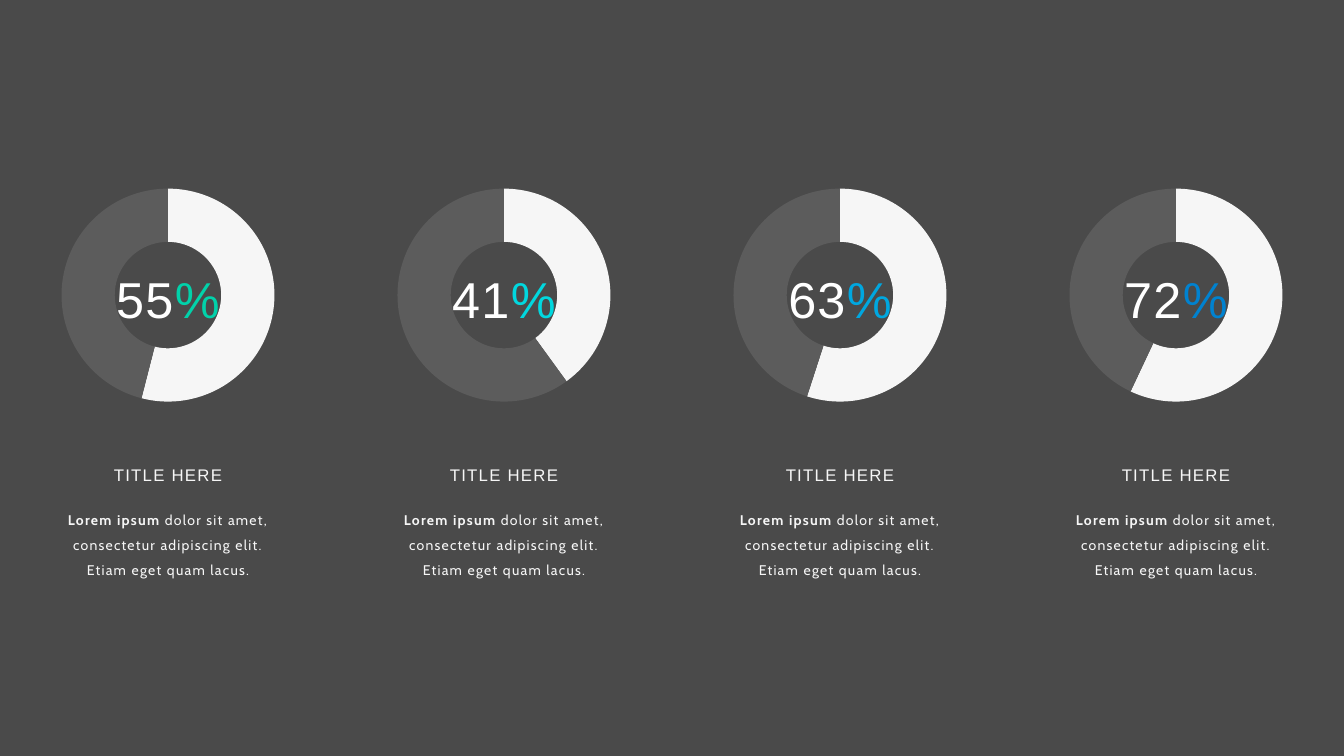
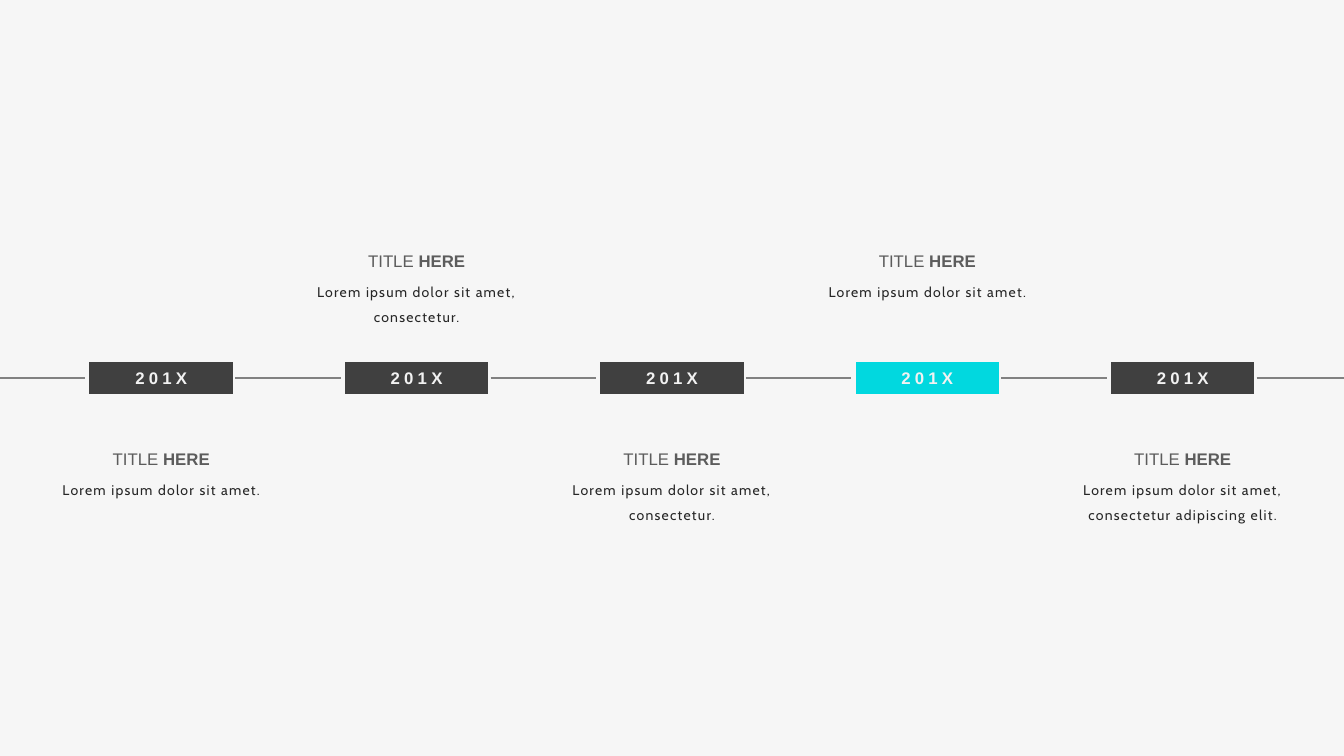
from lxml.etree import SubElement
from pptx import Presentation
from pptx.chart.data import CategoryChartData
from pptx.dml.color import RGBColor
from pptx.enum.chart import XL_CHART_TYPE
from pptx.enum.shapes import MSO_CONNECTOR, MSO_SHAPE
from pptx.enum.text import MSO_ANCHOR, MSO_AUTO_SIZE, PP_ALIGN
from pptx.oxml.ns import qn
from pptx.util import Inches, Pt

WHITE = RGBColor(0xFF, 0xFF, 0xFF)
PALE = RGBColor(0xF6, 0xF6, 0xF6)
TAG_TEXT = RGBColor(0xF2, 0xF2, 0xF2)
RULE = RGBColor(0x81, 0x81, 0x81)
MID = RGBColor(0x5C, 0x5C, 0x5C)
SLATE = RGBColor(0x4A, 0x4A, 0x4A)
DARK = RGBColor(0x40, 0x40, 0x40)
INK = RGBColor(0x26, 0x26, 0x26)
BLACK = RGBColor(0x00, 0x00, 0x00)
GREEN = RGBColor(0x01, 0xD2, 0xAA)
CYAN = RGBColor(0x01, 0xD8, 0xDF)
SKY = RGBColor(0x00, 0xA7, 0xE0)
BLUE = RGBColor(0x00, 0x82, 0xD0)

HEADING_FONT, BODY_FONT, CHART_FONT = "Arial", "Cabin", "Calibri"
COLUMNS, ROWS = 40, 22.5
CELL = Inches(1) / 3


def cells(count):
    """Convert grid cells to a length."""
    return round(count * CELL)


class Builder:
    """Holds the deck, the current page and the shared style."""

    def __init__(self):
        self.deck = Presentation()
        self.deck.slide_width = cells(COLUMNS)
        self.deck.slide_height = cells(ROWS)
        self.page = None

    def new_page(self, background):
        self.page = self.deck.slides.add_slide(self.deck.slide_layouts[6])
        fill = self.page.background.fill
        fill.solid()
        fill.fore_color.rgb = background

    def add_runs(self, frame, runs, font, size, leading=1.0, tracking=0):
        """Fill a frame with one centred paragraph of (text, colour, bold) runs."""
        para = frame.paragraphs[0]
        para.alignment = PP_ALIGN.CENTER
        para.line_spacing = leading
        for text, colour, bold in runs:
            span = para.add_run()
            span.text = text
            span.font.name = font
            span.font.size = Pt(size)
            span.font.bold = bold
            span.font.color.rgb = colour
            if tracking:
                span.font._element.set("spc", str(round(tracking * 100)))

    def text(self, center, top, width, height, runs, font, size,
             anchor=MSO_ANCHOR.TOP, wrap=True, **style):
        box = self.page.shapes.add_textbox(
            cells(center - width / 2), cells(top), cells(width), cells(height))
        frame = box.text_frame
        frame.word_wrap = wrap
        frame.auto_size = MSO_AUTO_SIZE.SHAPE_TO_FIT_TEXT
        frame.vertical_anchor = anchor
        self.add_runs(frame, runs, font, size, **style)

    def body(self, center, top, width, height, runs):
        self.text(center, top, width, height, runs, BODY_FONT, 10,
                  leading=1.5, tracking=0.9)

    def tag(self, center, middle, width, height, label, colour):
        shape = self.page.shapes.add_shape(
            MSO_SHAPE.RECTANGLE, cells(center - width / 2),
            cells(middle - height / 2), cells(width), cells(height))
        shape.shadow.inherit = False
        shape.fill.solid()
        shape.fill.fore_color.rgb = colour
        shape.line.color.rgb = PALE
        shape.line.width = Pt(3)
        shape.text_frame.vertical_anchor = MSO_ANCHOR.MIDDLE
        self.add_runs(shape.text_frame, [(label, TAG_TEXT, True)],
                      HEADING_FONT, 12, tracking=3)

    def rule(self, start, end, row):
        line = self.page.shapes.add_connector(
            MSO_CONNECTOR.STRAIGHT, cells(start), cells(row), cells(end), cells(row))
        line.line.color.rgb = RULE
        line.line.width = Pt(2)
        SubElement(line._element.spPr, qn("a:effectLst"))

    def doughnut(self, center, top, width, height, share):
        data = CategoryChartData()
        data.categories = ["1", "2"]
        data.add_series("Series 1", (share, 100 - share))
        chart = self.page.shapes.add_chart(
            XL_CHART_TYPE.DOUGHNUT, cells(center - width / 2), cells(top),
            cells(width), cells(height), data).chart
        chart.has_legend = False
        chart.has_title = False
        chart.font.name = CHART_FONT
        chart.font.size = Pt(10)
        chart.font.color.rgb = BLACK
        plot = chart.plots[0]
        plot.vary_by_categories = True
        plot._element.find(qn("c:holeSize")).set("val", "90")
        for index, colour in enumerate((PALE, MID)):
            look = plot.series[0].points[index].format
            look.fill.solid()
            look.fill.fore_color.rgb = colour
            look.line.fill.background()
        self.place_ring(chart, width, height, diameter=6.34)

    def place_ring(self, chart, width, height, diameter):
        """Centre the ring in its chart with a fixed diameter."""
        area = chart._chartSpace.chart.plotArea
        layout = area.find(qn("c:layout"))
        if layout is None:
            layout = area.makeelement(qn("c:layout"))
            area.insert(0, layout)
        manual = SubElement(layout, qn("c:manualLayout"))
        across, down = diameter / width, diameter / height
        for name, value in (("layoutTarget", "inner"), ("xMode", "edge"),
                            ("yMode", "edge"), ("x", (1 - across) / 2),
                            ("y", (1 - down) / 2), ("w", across), ("h", down)):
            SubElement(manual, qn("c:" + name)).set("val", str(value))


def build_shares(builder):
    builder.new_page(SLATE)
    shares = [("55", 54, GREEN), ("41", 40, CYAN), ("63", 55, SKY), ("72", 57, BLUE)]
    step = COLUMNS / len(shares)
    for index, (number, share, accent) in enumerate(shares):
        center = (index + 0.5) * step
        builder.doughnut(center, 5.2, 8, 7.17, share)
        builder.text(center, 7.05, 4.2, 2.73,
                     [(number, WHITE, False), ("%", accent, False)],
                     HEADING_FONT, 36, MSO_ANCHOR.MIDDLE, wrap=False,
                     leading=1.5, tracking=0.9)
        builder.text(center, 13.38, 7.17, 1.1, [("TITLE HERE", PALE, False)],
                     HEADING_FONT, 12, leading=1.5, tracking=0.9)
        builder.body(center, 14.82, 7.17, 2.5, [
            ("Lorem ipsum ", PALE, True),
            ("dolor sit amet, consectetur adipiscing elit. Etiam eget quam lacus.",
             PALE, False)])


def build_timeline(builder):
    builder.new_page(PALE)
    step, tag_width, middle = 7.6, 4.4, ROWS / 2
    above, below = 7.32, 13.2
    short = "Lorem ipsum dolor sit amet."
    longer = "Lorem ipsum dolor sit amet, consectetur."
    longest = "Lorem ipsum dolor sit amet, consectetur adipiscing elit."
    events = [(short, below, DARK), (longer, above, DARK), (longer, below, DARK),
              (short, above, CYAN), (longest, below, DARK)]
    line_start = 0
    for index, (description, top, colour) in enumerate(events):
        center = COLUMNS / 2 + (index - 2) * step
        builder.rule(line_start, center - tag_width / 2, middle)
        line_start = center + tag_width / 2
        builder.tag(center, middle, tag_width, 1.1, "201X", colour)
        builder.text(center, top, 4.44, 0.9,
                     [("TITLE ", MID, False), ("HERE", MID, True)], HEADING_FONT, 12)
        builder.body(center, top + 0.72, 7.4, 0.96, [(description, INK, False)])
    builder.rule(line_start, COLUMNS, middle)


def main():
    builder = Builder()
    build_shares(builder)
    build_timeline(builder)
    builder.deck.save("out.pptx")


if __name__ == "__main__":
    main()
